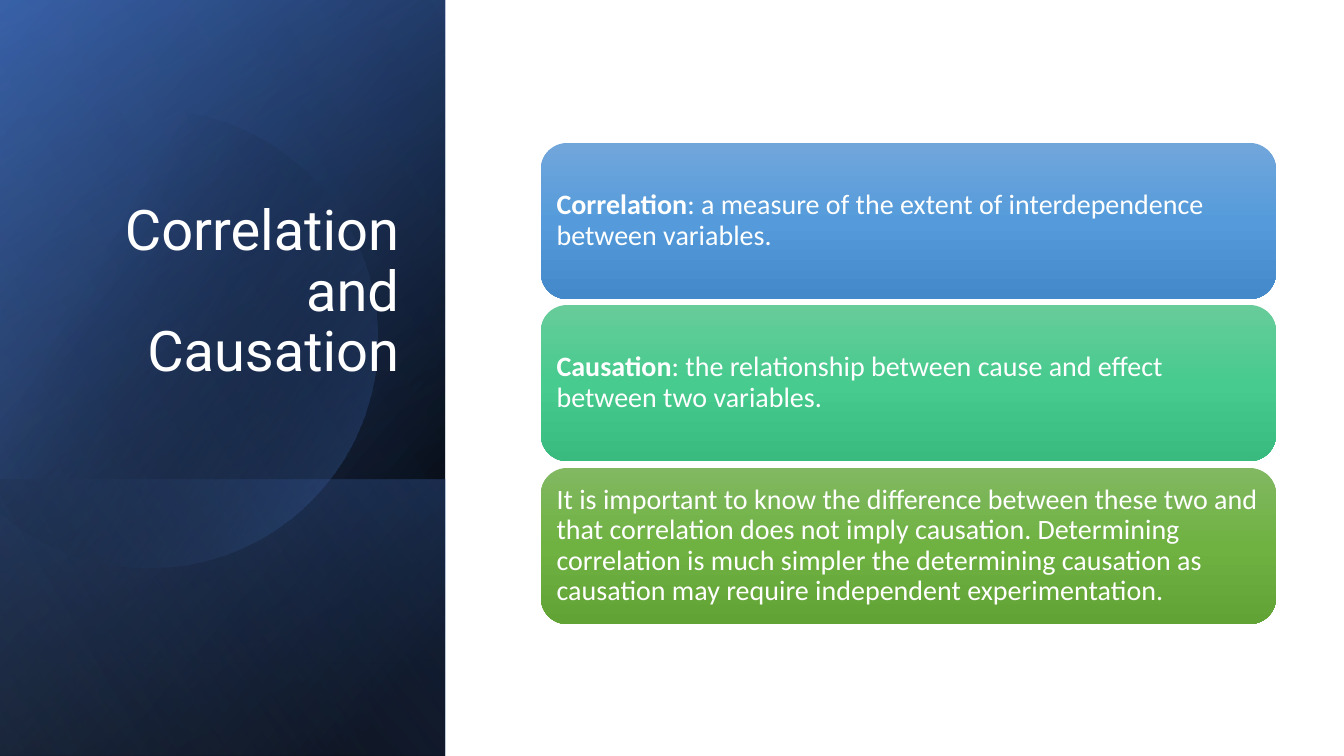
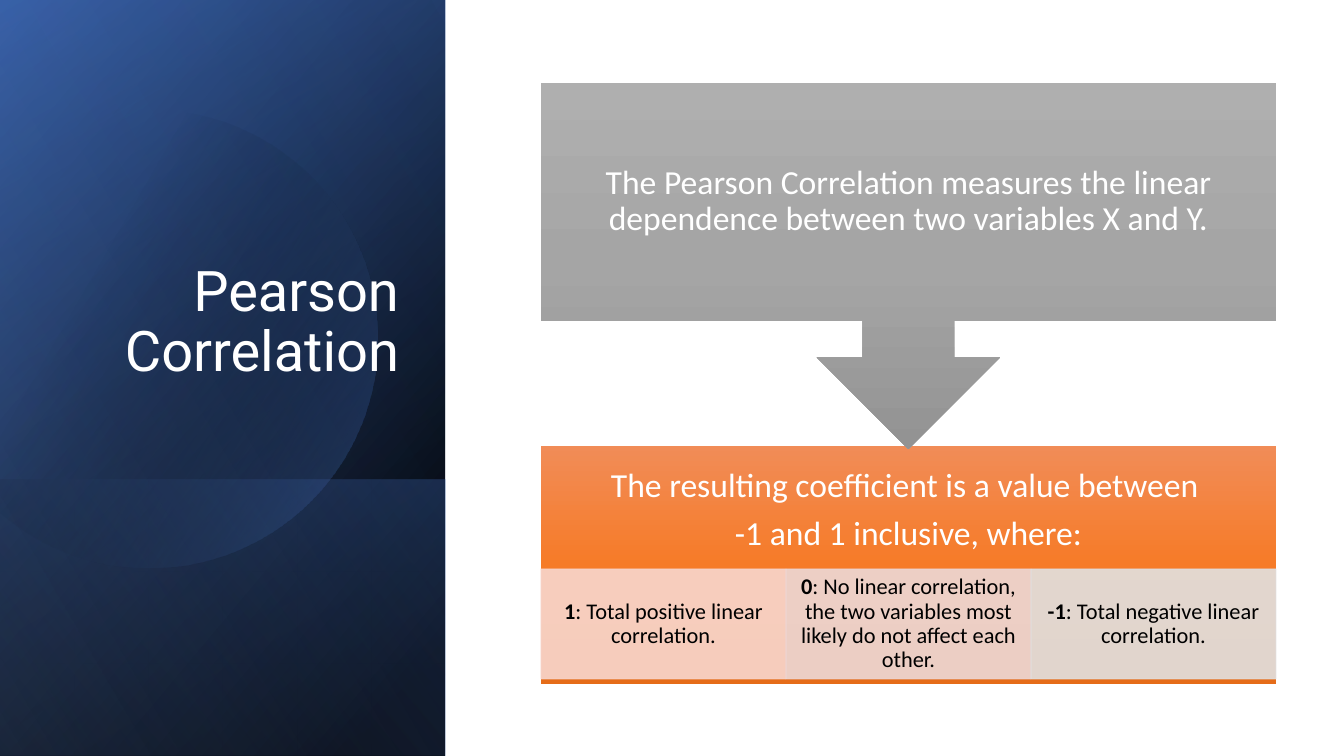
from math import acos, cos, pi, sin

from lxml.etree import SubElement
from pptx import Presentation
from pptx.dml.color import RGBColor as RGB
from pptx.enum.shapes import MSO_SHAPE as SHAPE
from pptx.enum.text import MSO_ANCHOR as ANCHOR, MSO_AUTO_SIZE as AUTO, PP_ALIGN as ALIGN
from pptx.oxml import parse_xml
from pptx.oxml.ns import nsdecls, qn
from pptx.util import Emu, Pt

PX = 914400 / 100.8
WIDE, HIGH = 1344, 756
LEFT, SPAN = 541, 735  # content column
PANEL = 445

HEX = {
    "white": "FFFFFF", "black": "000000",
    "navy": "2F5597", "blue": "4472C4", "pale": "8FAADC",
    "peach": "F8D7CE", "rose": "EDD9D7", "mist": "E1E1E1",
}
# Gradients: angle, then stops of (position, colour, opacity), all in percent
LAYERS = {
    "base": (220, [(8, HEX["black"], 100), (100, HEX["navy"], 100)]),
    "glow": (240, [(0, HEX["black"], 0), (99, HEX["blue"], 46)]),
    "band": (140, [(2, HEX["blue"], 29), (100, HEX["black"], 30)]),
    "disc": (30, [(29, HEX["black"], 0), (100, HEX["blue"], 43)]),
    "veil": (150, [(0, HEX["black"], 0), (99, HEX["pale"], 11)]),
}
SHADES = {
    "blue": ("71A6DB", "559BDB", "448ACA"),
    "teal": ("67CC9A", "47CB8E", "39BB7F"),
    "green": ("81B861", "6FB242", "62A336"),
    "orange": ("F18C57", "F67B28", "E56C19"),
    "gray": ("AFAFAF", "A5A5A5", "939393"),
}

# Each paragraph is a bold lead and the rest
CARDS = [
    ("blue", ("Correlation", ": a measure of the extent of interdependence between variables.")),
    ("teal", ("Causation", ": the relationship between cause and effect between two variables.")),
    ("green", ("", "It is important to know the difference between these two and that "
                   "correlation does not imply causation. Determining correlation is much "
                   "simpler the determining causation as causation may require independent "
                   "experimentation.")),
]
INTRO = [("", "The Pearson Correlation measures the linear dependence between "
              "two variables X and Y.")]
RESULT = [("", "The resulting coefficient is a value between "),
          ("", "-1 and 1 inclusive, where:")]
CASES = [
    ("peach", ("1", ": Total positive linear correlation.")),
    ("rose", ("0", ": No linear correlation, the two variables most likely do not "
                   "affect each other.")),
    ("mist", ("-1", ": Total negative linear correlation.")),
]


def px(*nums):
    return [Emu(round(n * PX)) for n in nums]


def blend(shape, angle, stops):
    """Give the shape a linear gradient and no outline."""
    marks = "".join(
        f'<a:gs pos="{pos * 1000}"><a:srgbClr val="{tone}">'
        f'<a:alpha val="{dense * 1000}"/></a:srgbClr></a:gs>'
        for pos, tone, dense in stops)
    grad = parse_xml(f'<a:gradFill {nsdecls("a")} rotWithShape="1"><a:gsLst>{marks}</a:gsLst>'
                     f'<a:lin ang="{angle * 60000}" scaled="0"/></a:gradFill>')
    shape.shadow.inherit = False
    shape.line.fill.background()
    shape.fill.background()
    props = shape.element.spPr
    props.replace(props.find(qn("a:noFill")), grad)


def shade(shape, name):
    blend(shape, 90, [(pos, tone, 100) for pos, tone in zip((0, 50, 100), SHADES[name])])


def tint(shape, name):
    """Fill and outline the shape in one colour at 90% opacity."""
    tone = RGB.from_string(HEX[name])
    shape.shadow.inherit = False
    shape.fill.solid()
    shape.fill.fore_color.rgb = tone
    shape.line.color.rgb = tone
    shape.line.width = Pt(0.5)
    for node in shape.element.spPr.iter(qn("a:srgbClr")):
        SubElement(node, qn("a:alpha"), val="90000")


def inset(frame, left, top, right, base):
    (frame.margin_left, frame.margin_top,
     frame.margin_right, frame.margin_bottom) = px(left, top, right, base)


def write(shape, paras, size, pad, tone="white", align=ALIGN.CENTER):
    frame = shape.text_frame
    frame.word_wrap = True
    frame.vertical_anchor = ANCHOR.MIDDLE
    inset(frame, *pad)
    for num, parts in enumerate(paras):
        para = frame.add_paragraph() if num else frame.paragraphs[0]
        para.alignment = align
        para.line_spacing = 0.9
        if num:
            para.space_before = Pt(size * 0.35)
        for text, bold in zip(parts, (True, False)):
            if text:
                run = para.add_run()
                run.text = text
                font = run.font
                font.name, font.size, font.bold = "Calibri", Pt(size), bold
                font.color.rgb = RGB.from_string(HEX[tone])


def add(slide, kind, *box):
    return slide.shapes.add_shape(kind, *px(*box))


def add_disc(slide):
    """Add the circle cut off at the left edge of the slide."""
    mid, row, rad, steps = 149, 339, 229, 120
    edge = acos(-mid / rad)
    turns = [edge * (2 * i / steps - 1) for i in range(steps + 1)]
    dots = [((mid + rad * cos(t)) * PX, (row + rad * sin(t)) * PX) for t in turns]
    pen = slide.shapes.build_freeform(*dots[0])
    pen.add_line_segments(dots[1:], close=True)
    return pen.convert_to_shape()


def add_slide(deck, text):
    """Add a slide with the dark side panel and its title."""
    slide = deck.slides.add_slide(deck.slide_layouts[5])
    for name, fill in LAYERS.items():
        if name == "disc":
            part = add_disc(slide)
        else:
            top = 480 if name == "band" else 0
            part = add(slide, SHAPE.RECTANGLE, 0, top, PANEL, HIGH - top)
        blend(part, *fill)

    title = slide.shapes.title
    title.left, title.top, title.width, title.height = px(65, 185, 344, 264)
    title.element.getparent().append(title.element)  # in front of the panel
    frame = title.text_frame
    frame.text = text
    frame.word_wrap = True
    frame.auto_size = AUTO.NONE
    frame.vertical_anchor = ANCHOR.BOTTOM
    inset(frame, 10, 5, 10, 65)
    para = frame.paragraphs[0]
    para.alignment = ALIGN.RIGHT
    para.line_spacing = 0.9
    font = para.runs[0].font
    font.name, font.size = "Roboto", Pt(40)
    font.color.rgb = RGB.from_string(HEX["white"])
    return slide


def add_cards(slide):
    top, last, high = 143, 468, 156
    for num, (name, para) in enumerate(CARDS):
        row = top + (last - top) * num // (len(CARDS) - 1)
        card = add(slide, SHAPE.ROUNDED_RECTANGLE, LEFT, row, SPAN, high)
        shade(card, name)
        write(card, [para], 20, (8, 8, 8, 8), align=ALIGN.LEFT)


def add_flow(slide):
    top, high, head = 446, 238, 129
    block = add(slide, SHAPE.RECTANGLE, LEFT, top, SPAN, high)
    shade(block, "orange")
    write(block, RESULT, 24, (19, 19, 19, high - head + 19))

    wide = SPAN // len(CASES)
    for num, (name, para) in enumerate(CASES):
        cell = add(slide, SHAPE.RECTANGLE, LEFT + num * wide, 569, wide, 110)
        tint(cell, name)
        write(cell, [para], 16, (12, 2, 12, 2), tone="black")

    arrow = add(slide, SHAPE.DOWN_ARROW_CALLOUT, LEFT, 83, SPAN, 366)
    arrow.adjustments[3] = 0.65
    shade(arrow, "gray")
    write(arrow, INTRO, 24, (19, 19, 19, 19))


def main():
    deck = Presentation()
    deck.slide_width, deck.slide_height = px(WIDE, HIGH)
    add_cards(add_slide(deck, "Correlation and Causation"))
    add_flow(add_slide(deck, "Pearson Correlation"))
    deck.save("out.pptx")


if __name__ == "__main__":
    main()
